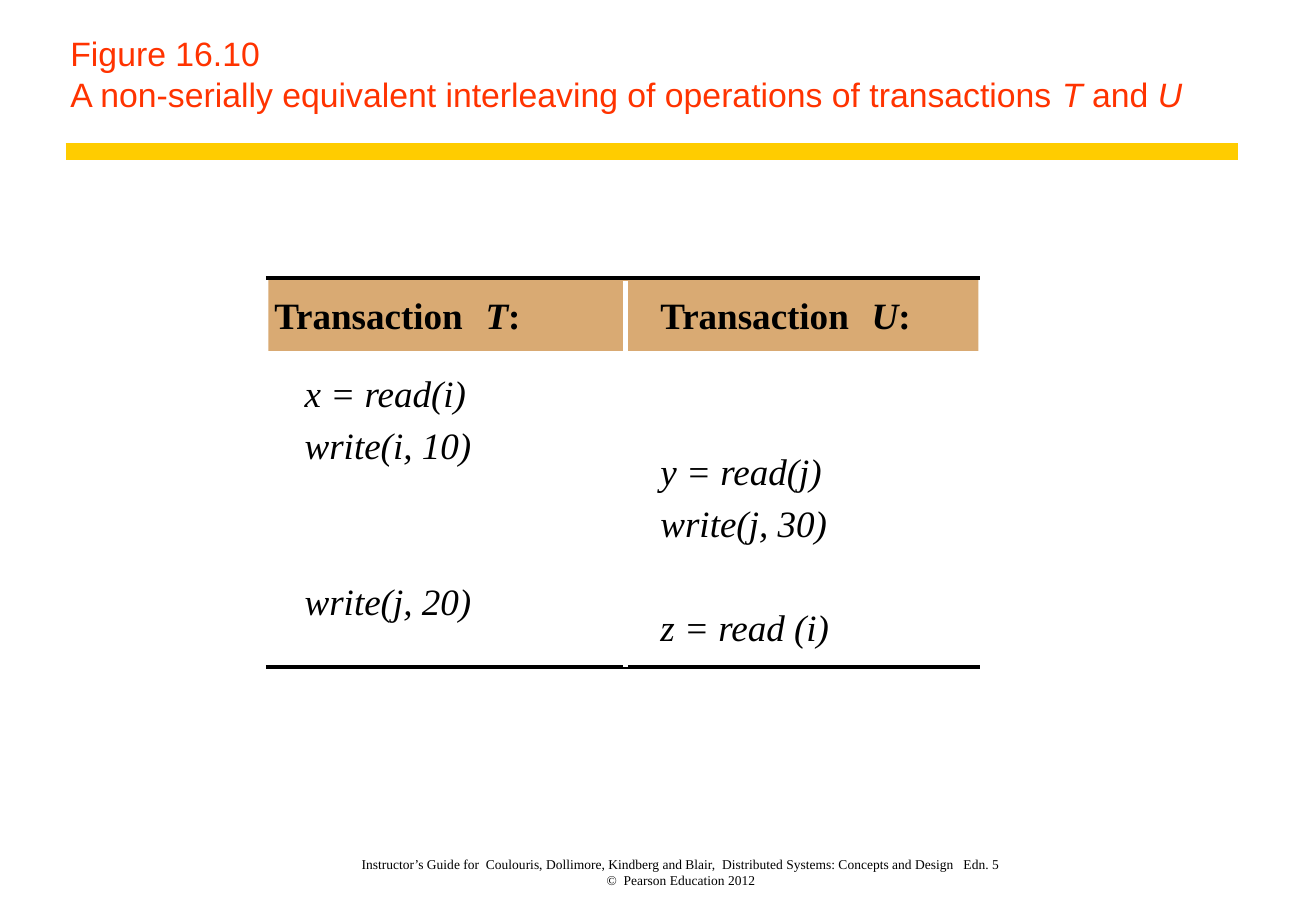
from dataclasses import dataclass
from typing import NamedTuple

import lxml.etree
import pptx
import pptx.dml.color
import pptx.enum.shapes
import pptx.enum.text
import pptx.oxml.ns
import pptx.slide
import pptx.text.text
import pptx.util

Inches = pptx.util.Inches
Pt = pptx.util.Pt


@dataclass(frozen=True)
class Theme:
    title_font: str = "Arial"
    body_font: str = "Times New Roman"
    title_size: int = 20
    body_size: int = 22
    footer_size: int = 8
    title: str = "FF3300"
    accent: str = "FFCC00"
    header: str = "D9AA73"
    ink: str = "000000"
    paper: str = "FFFFFF"


class Operation(NamedTuple):
    slot: int
    text: str


class Transaction(NamedTuple):
    name: str
    header_left: float
    operations_left: float
    operations: tuple[Operation, ...]


class Rule(NamedTuple):
    start: tuple[float, float]
    end: tuple[float, float]
    color: str
    weight: float


THEME = Theme()
HEADER_TOP = 2.41
HEADER_WIDTH = 2.5
NAME_TAB = 1.74
FIRST_SLOT_TOP = 3.05
SLOT_HEIGHT = 1.93 / 9
TEXT_WIDTH, TEXT_HEIGHT = 1.6, 0.37

TRANSACTIONS = (
    Transaction("T", 2.26, 2.51, (
        Operation(0, "x = read(i)"),
        Operation(2, "write(i, 10)"),
        Operation(8, "write(j, 20)"),
    )),
    Transaction("U", 5.44, 5.44, (
        Operation(3, "y = read(j)"),
        Operation(5, "write(j, 30)"),
        Operation(9, "z = read (i)"),
    )),
)

TITLE_RULE = Rule((0.54, 1.25), (10.2, 1.25), THEME.accent, 10)
TABLE_RULES = (
    Rule((2.19, 2.29), (8.07, 2.29), THEME.ink, 2),
    Rule((2.19, 5.49), (8.07, 5.49), THEME.ink, 2),
    Rule((5.15, 2.31), (5.15, 5.49), THEME.paper, 3),
)


def rgb(color: str) -> pptx.dml.color.RGBColor:
    return pptx.dml.color.RGBColor.from_string(color)


def set_font(font: pptx.text.text.Font, name: str, size: float, color: str) -> None:
    font.name = name
    font.size = Pt(size)
    font.color.rgb = rgb(color)


def add_run(paragraph: pptx.text.text._Paragraph, text: str, italic: bool = False) -> None:
    run = paragraph.add_run()
    run.text = text
    if italic:
        run.font.italic = True


def add_text(slide: pptx.slide.Slide, left: float, top: float, width: float,
             height: float) -> pptx.text.text.TextFrame:
    frame = slide.shapes.add_textbox(
        Inches(left), Inches(top), Inches(width), Inches(height)).text_frame
    frame.margin_left = frame.margin_right = 0
    frame.margin_top = frame.margin_bottom = 0
    frame.word_wrap = True
    return frame


def add_rule(slide: pptx.slide.Slide, rule: Rule) -> None:
    connector = slide.shapes.add_connector(
        pptx.enum.shapes.MSO_CONNECTOR.STRAIGHT,
        *(Inches(value) for value in rule.start + rule.end))
    connector.line.color.rgb = rgb(rule.color)
    connector.line.width = Pt(rule.weight)
    properties = connector._element.spPr
    lxml.etree.SubElement(properties, pptx.oxml.ns.qn("a:effectLst"))


def add_title(slide: pptx.slide.Slide) -> None:
    title = slide.shapes.title
    title.left, title.top = Inches(0.48), Inches(0)
    title.width, title.height = Inches(9.72), Inches(1)
    frame = title.text_frame
    frame.auto_size = pptx.enum.text.MSO_AUTO_SIZE.NONE
    frame.vertical_anchor = pptx.enum.text.MSO_ANCHOR.BOTTOM
    frame.margin_left = Inches(0.1)
    frame.margin_right = Inches(0.14)
    frame.margin_top = frame.margin_bottom = Inches(0.06)
    paragraph = frame.paragraphs[0]
    paragraph.alignment = pptx.enum.text.PP_ALIGN.LEFT
    set_font(paragraph.font, THEME.title_font, THEME.title_size, THEME.title)
    add_run(paragraph, "Figure 16.10")
    paragraph.add_line_break()
    add_run(paragraph, "A non-serially equivalent interleaving of operations of transactions ")
    add_run(paragraph, "T", italic=True)
    add_run(paragraph, " and ")
    add_run(paragraph, "U", italic=True)


def add_header_band(slide: pptx.slide.Slide) -> None:
    band = slide.shapes.add_shape(
        pptx.enum.shapes.MSO_SHAPE.RECTANGLE,
        Inches(2.21), Inches(2.28), Inches(5.85), Inches(0.61))
    band.shadow.inherit = False
    band.fill.solid()
    band.fill.fore_color.rgb = rgb(THEME.header)
    band.line.fill.background()


def add_transaction(slide: pptx.slide.Slide, transaction: Transaction) -> None:
    header = add_text(slide, transaction.header_left, HEADER_TOP,
                      HEADER_WIDTH, TEXT_HEIGHT).paragraphs[0]
    properties = header._p.get_or_add_pPr()
    tabs = lxml.etree.SubElement(properties, pptx.oxml.ns.qn("a:tabLst"))
    lxml.etree.SubElement(tabs, pptx.oxml.ns.qn("a:tab"),
                          pos=str(Inches(NAME_TAB)), algn="l")
    set_font(header.font, THEME.body_font, THEME.body_size, THEME.ink)
    header.font.bold = True
    add_run(header, "Transaction\t")
    add_run(header, transaction.name, italic=True)
    add_run(header, ":")

    for operation in transaction.operations:
        top = FIRST_SLOT_TOP + operation.slot * SLOT_HEIGHT
        step = add_text(slide, transaction.operations_left, top,
                        TEXT_WIDTH, TEXT_HEIGHT).paragraphs[0]
        set_font(step.font, THEME.body_font, THEME.body_size, THEME.ink)
        step.font.italic = True
        add_run(step, operation.text)


def add_footer(slide: pptx.slide.Slide) -> None:
    frame = add_text(slide, 2.35, 6.92, 6.6, 0.39)
    frame.margin_right = Inches(0.08)
    frame.vertical_anchor = pptx.enum.text.MSO_ANCHOR.BOTTOM
    paragraph = frame.paragraphs[0]
    paragraph.alignment = pptx.enum.text.PP_ALIGN.CENTER
    set_font(paragraph.font, THEME.body_font, THEME.footer_size, THEME.ink)
    add_run(paragraph, "Instructor’s Guide for  Coulouris, Dollimore, Kindberg and Blair,  "
                       "Distributed Systems: Concepts and Design   Edn. 5")
    paragraph.add_line_break()
    add_run(paragraph, "©  Pearson Education 2012")


def main() -> None:
    presentation = pptx.Presentation()
    presentation.slide_width = Inches(10.84)
    presentation.slide_height = Inches(7.5)
    slide = presentation.slides.add_slide(presentation.slide_layouts[5])
    add_footer(slide)
    add_rule(slide, TITLE_RULE)
    add_header_band(slide)
    add_title(slide)
    for transaction in TRANSACTIONS:
        add_transaction(slide, transaction)
    for rule in TABLE_RULES:
        add_rule(slide, rule)
    presentation.save("out.pptx")


if __name__ == "__main__":
    main()
